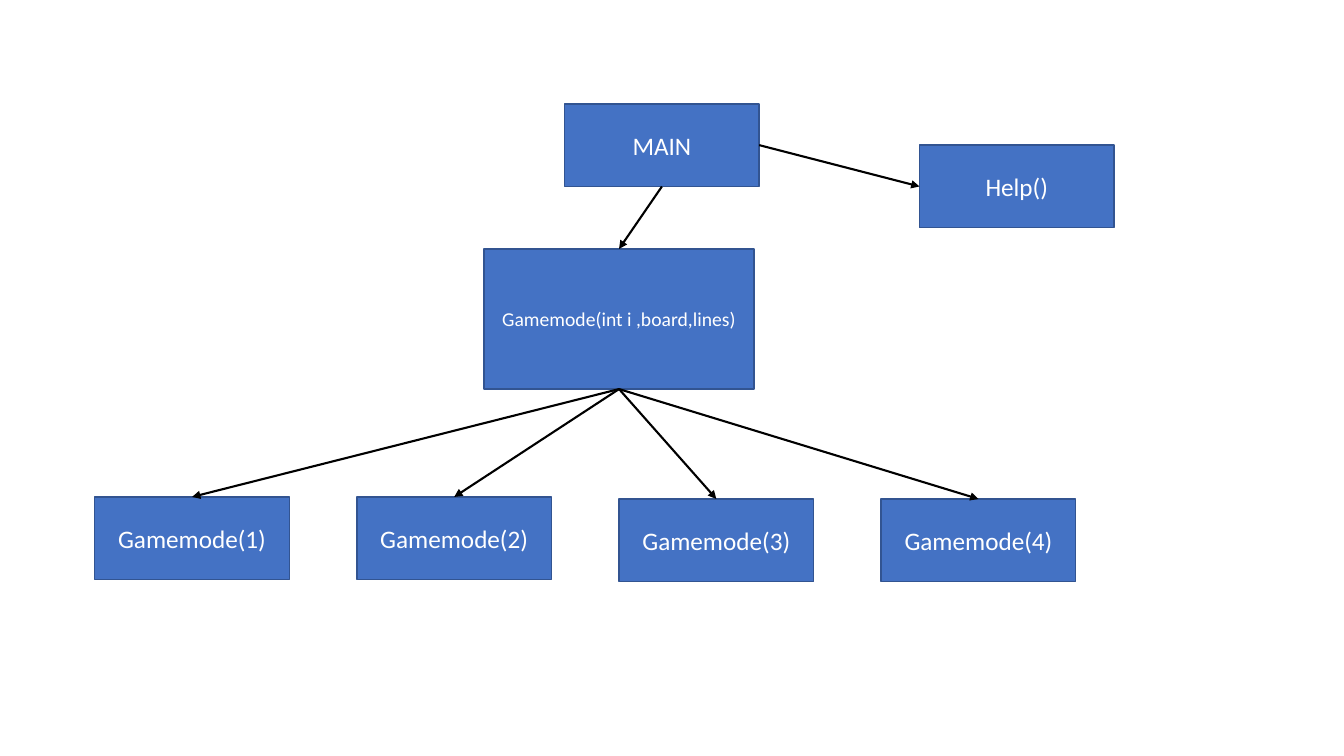
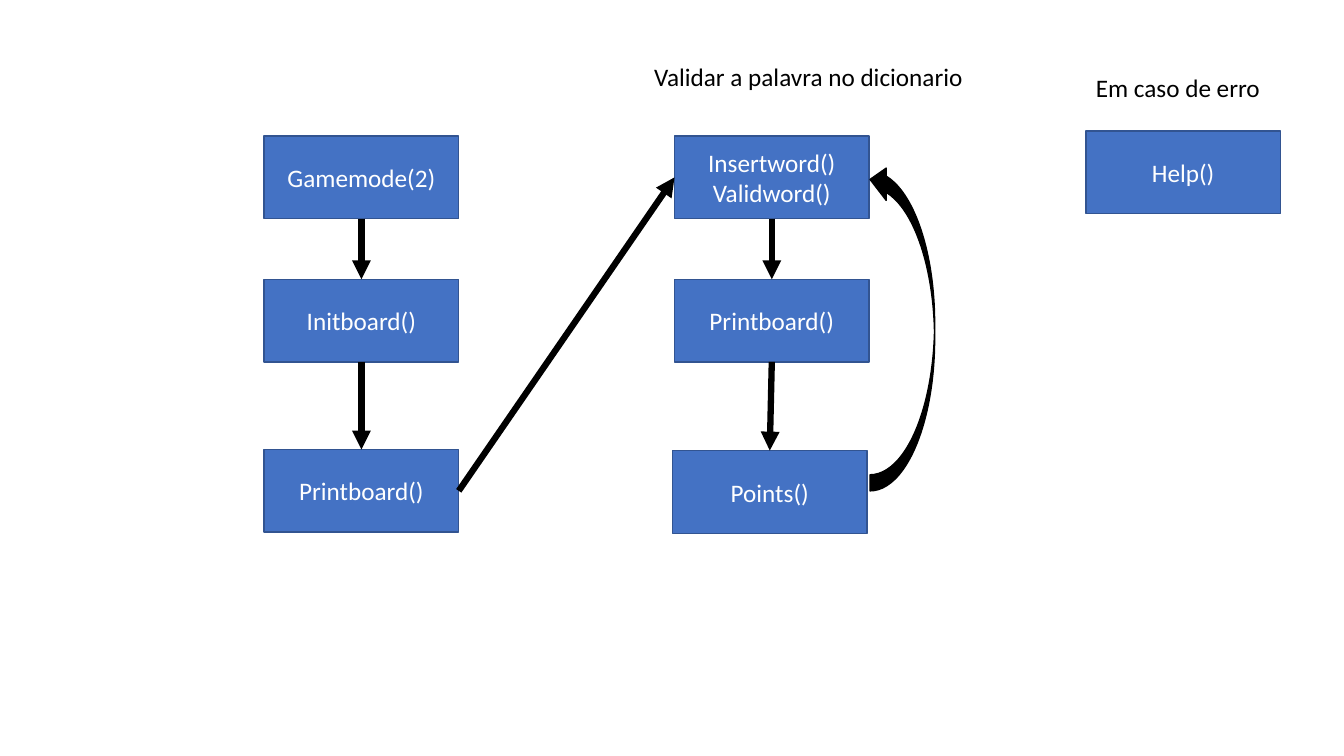
from lxml.etree import SubElement
from pptx import Presentation
from pptx.dml.color import RGBColor
from pptx.enum.shapes import MSO_CONNECTOR, MSO_SHAPE
from pptx.enum.text import MSO_ANCHOR, MSO_AUTO_SIZE, PP_ALIGN
from pptx.oxml.ns import qn
from pptx.util import Inches, Pt

COLOURS = {"box": "4472C4", "border": "325491", "box_text": "FFFFFF", "ink": "000000"}
FONT = "Calibri"
BOX_WIDTH, BOX_HEIGHT = 1.93, 0.82
TOP, LEFT, BOTTOM, RIGHT = range(4)
BLANK_LAYOUT = 6


def colour(name):
    return RGBColor.from_string(COLOURS[name])


def format_text(text_frame, size, colour_name, alignment):
    for paragraph in text_frame.paragraphs:
        paragraph.alignment = alignment
        for run in paragraph.runs:
            run.font.name = FONT
            run.font.size = Pt(size)
            run.font.color.rgb = colour(colour_name)


def add_filled_shape(slide, kind, left, top, width, height, fill, line):
    shape = slide.shapes.add_shape(kind, Inches(left), Inches(top), Inches(width), Inches(height))
    shape.shadow.inherit = False
    shape.fill.solid()
    shape.fill.fore_color.rgb = colour(fill)
    shape.line.color.rgb = colour(line)
    shape.line.width = Pt(1)
    return shape


def add_box(slide, text, left, top, width=BOX_WIDTH, height=BOX_HEIGHT, size=18):
    box = add_filled_shape(slide, MSO_SHAPE.RECTANGLE, left, top, width, height, "box", "border")
    box.text_frame.text = text
    box.text_frame.word_wrap = True
    box.text_frame.vertical_anchor = MSO_ANCHOR.MIDDLE
    format_text(box.text_frame, size, "box_text", PP_ALIGN.CENTER)
    return box


def add_arrow(slide, start, start_side, end, end_side, width):
    arrow = slide.shapes.add_connector(MSO_CONNECTOR.STRAIGHT, 0, 0, 0, 0)
    arrow.begin_connect(start, start_side)
    arrow.end_connect(end, end_side)
    arrow.line.color.rgb = colour("ink")
    arrow.line.width = Pt(width)
    SubElement(arrow.line._get_or_add_ln(), qn("a:tailEnd"), type="triangle")
    SubElement(arrow._element.spPr, qn("a:effectLst"))


def add_label(slide, text, left, top, width):
    label = slide.shapes.add_textbox(Inches(left), Inches(top), Inches(width), Inches(0.4))
    label.text_frame.text = text
    label.text_frame.word_wrap = False
    label.text_frame.auto_size = MSO_AUTO_SIZE.SHAPE_TO_FIT_TEXT
    format_text(label.text_frame, 18, "ink", PP_ALIGN.LEFT)


def add_call_tree(slide, left, top):
    main_box = add_box(slide, "MAIN", left + 4.66, top)
    help_box = add_box(slide, "Help()", left + 8.18, top + 0.41)
    gamemode = add_box(slide, "Gamemode(int i ,board,lines)", left + 3.86, top + 1.44, 2.68, 1.39, 14)
    add_arrow(slide, main_box, RIGHT, help_box, LEFT, 1.5)
    add_arrow(slide, main_box, BOTTOM, gamemode, TOP, 1.5)
    for index, drop in enumerate((3.9, 3.9, 3.92, 3.92)):
        mode = add_box(slide, f"Gamemode({index + 1})", left + 2.6 * index, top + drop)
        add_arrow(slide, gamemode, BOTTOM, mode, TOP, 1.5)


def add_step_column(slide, left, top, steps):
    boxes = [add_box(slide, text, left + shift, top + drop) for text, shift, drop in steps]
    for upper, lower in zip(boxes, boxes[1:]):
        add_arrow(slide, upper, BOTTOM, lower, TOP, 4.5)
    return boxes


def add_loop_arrow(slide, left, top):
    loop = add_filled_shape(slide, MSO_SHAPE.CURVED_LEFT_ARROW, left, top, 0.64, 3.25, "ink", "ink")
    loop._element.spPr.xfrm.set("flipV", "1")


def add_word_loop(slide, left, top):
    setup = add_step_column(slide, left, top, [
        ("Gamemode(2)", 0, 0),
        ("Initboard()", 0, 1.42),
        ("Printboard()", 0, 3.11),
    ])
    play = add_step_column(slide, left + 4.07, top, [
        ("Insertword()\nValidword()", 0, 0),
        ("Printboard()", 0, 1.42),
        ("Points()", -0.02, 3.12),
    ])
    add_arrow(slide, setup[-1], RIGHT, play[0], LEFT, 4.5)
    add_loop_arrow(slide, left + 6.01, top + 0.27)
    add_label(slide, "Validar a palavra no dicionario", left + 3.77, top - 0.79, 3.28)


def add_error_help(slide, left, top):
    add_label(slide, "Em caso de erro", left, top, 1.85)
    add_box(slide, "Help()", left, top + 0.63)


def main():
    presentation = Presentation()
    presentation.slide_width = Inches(13.33)
    presentation.slide_height = Inches(7.5)
    blank = presentation.slide_layouts[BLANK_LAYOUT]

    add_call_tree(presentation.slides.add_slide(blank), 0.94, 1.03)

    word_slide = presentation.slides.add_slide(blank)
    add_word_loop(word_slide, 2.62, 1.35)
    add_error_help(word_slide, 10.77, 0.67)

    presentation.save("out.pptx")


if __name__ == "__main__":
    main()
